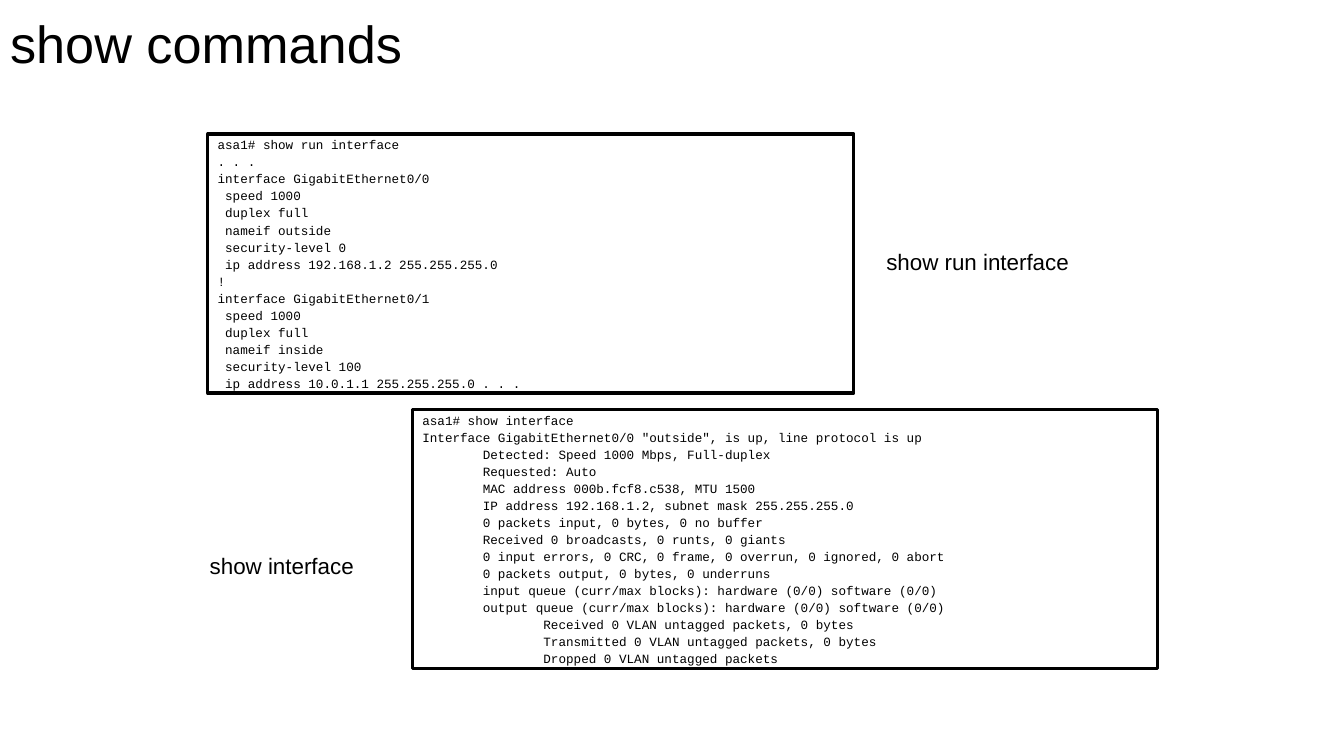
from dataclasses import dataclass

from pptx import Presentation
from pptx.dml.color import RGBColor
from pptx.enum.shapes import MSO_SHAPE
from pptx.enum.text import MSO_ANCHOR, MSO_AUTO_SIZE, PP_ALIGN
from pptx.util import Inches, Pt


@dataclass(frozen=True)
class Theme:
    ink: RGBColor = RGBColor(0x00, 0x00, 0x00)
    paper: RGBColor = RGBColor(0xFF, 0xFF, 0xFF)
    text_font: str = "Arial"
    code_font: str = "Courier New"
    title_size: float = 37.3
    label_size: float = 16
    code_size: float = 9
    code_gap: float = 2.4
    line_spacing: float = 0.9
    border: float = 2.25


THEME = Theme()

RUN_OUTPUT = """\
asa1# show run interface
. . .
interface GigabitEthernet0/0
 speed 1000
 duplex full
 nameif outside
 security-level 0
 ip address 192.168.1.2 255.255.255.0
!
interface GigabitEthernet0/1
 speed 1000
 duplex full
 nameif inside
 security-level 100
 ip address 10.0.1.1 255.255.255.0 . . ."""

INTERFACE_OUTPUT = """\
asa1# show interface
Interface GigabitEthernet0/0 "outside", is up, line protocol is up
        Detected: Speed 1000 Mbps, Full-duplex
        Requested: Auto
        MAC address 000b.fcf8.c538, MTU 1500
        IP address 192.168.1.2, subnet mask 255.255.255.0
        0 packets input, 0 bytes, 0 no buffer
        Received 0 broadcasts, 0 runts, 0 giants
        0 input errors, 0 CRC, 0 frame, 0 overrun, 0 ignored, 0 abort
        0 packets output, 0 bytes, 0 underruns
        input queue (curr/max blocks): hardware (0/0) software (0/0)
        output queue (curr/max blocks): hardware (0/0) software (0/0)
                Received 0 VLAN untagged packets, 0 bytes
                Transmitted 0 VLAN untagged packets, 0 bytes
                Dropped 0 VLAN untagged packets"""


def write_text(frame, text, *, size, font=THEME.text_font, gap=0,
               anchor=MSO_ANCHOR.TOP, wrap=True):
    """Fill a text frame with one paragraph per line of text."""
    frame.auto_size = MSO_AUTO_SIZE.NONE
    frame.word_wrap = wrap
    frame.vertical_anchor = anchor
    for index, line in enumerate(text.splitlines()):
        paragraph = frame.add_paragraph() if index else frame.paragraphs[0]
        paragraph.alignment = PP_ALIGN.LEFT
        paragraph.line_spacing = THEME.line_spacing
        paragraph.space_before = Pt(gap if index else 0)
        run = paragraph.add_run()
        run.text = line
        run.font.name = font
        run.font.size = Pt(size)
        run.font.color.rgb = THEME.ink


def set_title(slide, text):
    title = slide.shapes.title
    title.left, title.top = Inches(0), Inches(0)
    title.width, title.height = Inches(8.91), Inches(0.92)
    write_text(title.text_frame, text, size=THEME.title_size,
               anchor=MSO_ANCHOR.MIDDLE)


def add_code_box(slide, text, left, top, width):
    box = slide.shapes.add_shape(MSO_SHAPE.RECTANGLE, Inches(left), Inches(top),
                                 Inches(width), Inches(2.57))
    box.shadow.inherit = False
    box.fill.solid()
    box.fill.fore_color.rgb = THEME.paper
    box.line.color.rgb = THEME.ink
    box.line.width = Pt(THEME.border)
    write_text(box.text_frame, text, size=THEME.code_size,
               font=THEME.code_font, gap=THEME.code_gap)


def add_label(slide, text, left, top, width):
    label = slide.shapes.add_textbox(Inches(left), Inches(top),
                                     Inches(width), Inches(0.33))
    frame = label.text_frame
    frame.margin_left = frame.margin_right = Inches(0.09)
    frame.margin_top = frame.margin_bottom = Inches(0.04)
    write_text(frame, text, size=THEME.label_size, wrap=False)


def main():
    presentation = Presentation()
    presentation.slide_width = Inches(13.33)
    presentation.slide_height = Inches(7.5)
    slide = presentation.slides.add_slide(presentation.slide_layouts[5])

    set_title(slide, "show commands")

    # Running configuration, label on the right
    add_code_box(slide, RUN_OUTPUT, 2.06, 1.33, 6.41)
    add_label(slide, "show run interface", 8.7, 2.45, 2.02)

    # Interface status, label on the left
    add_code_box(slide, INTERFACE_OUTPUT, 4.09, 4.06, 7.39)
    add_label(slide, "show interface", 1.99, 5.47, 1.63)

    presentation.save("out.pptx")


if __name__ == "__main__":
    main()
